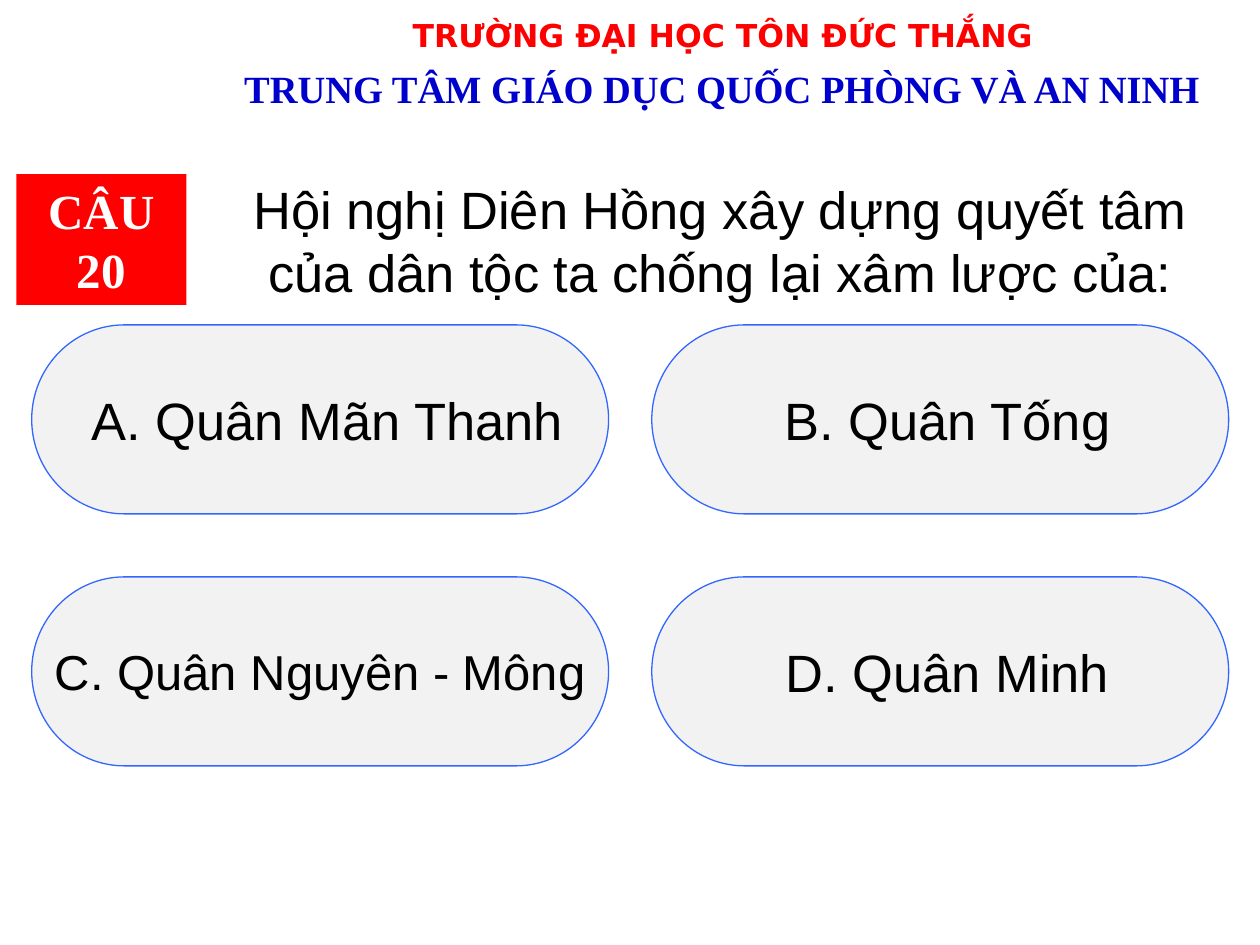
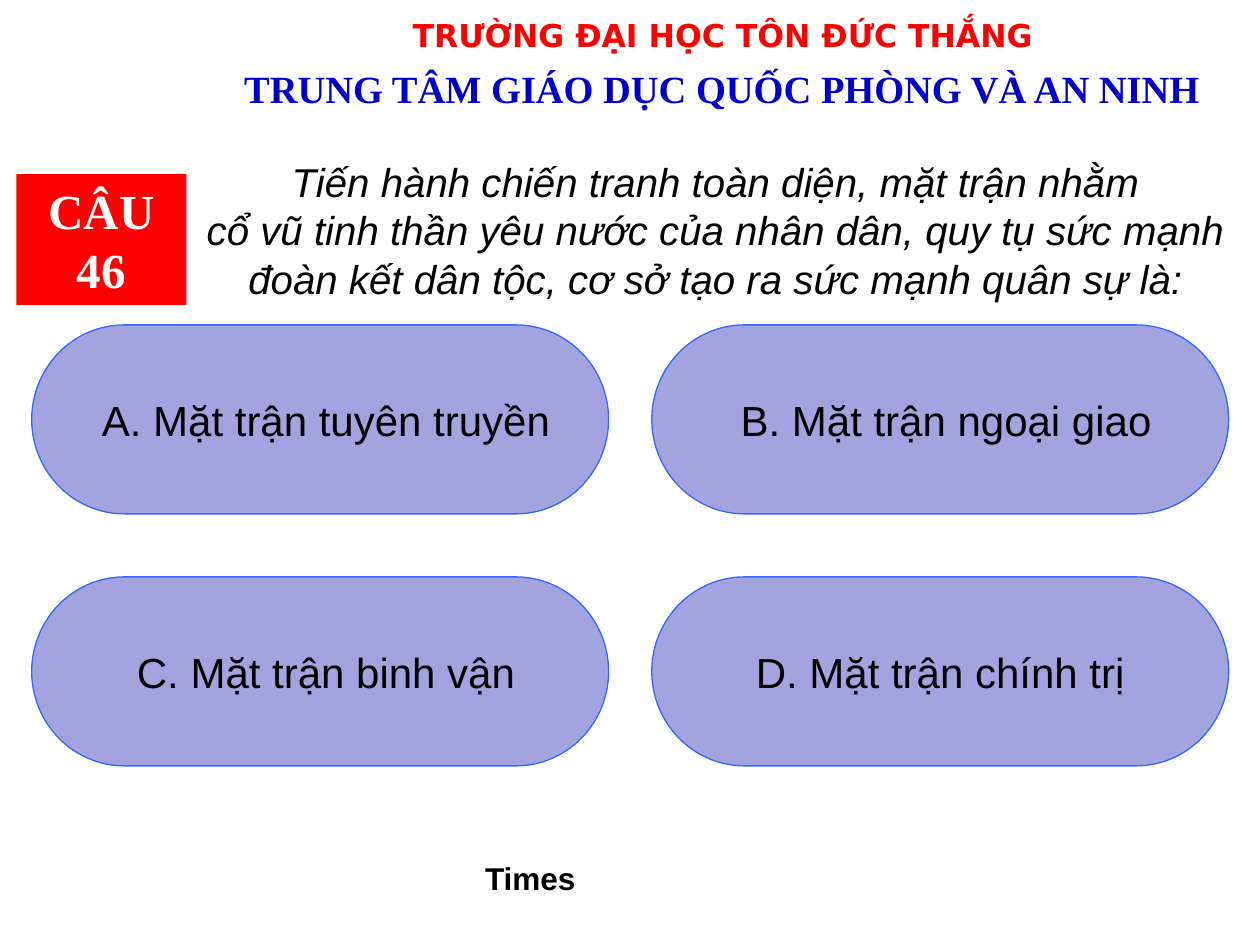
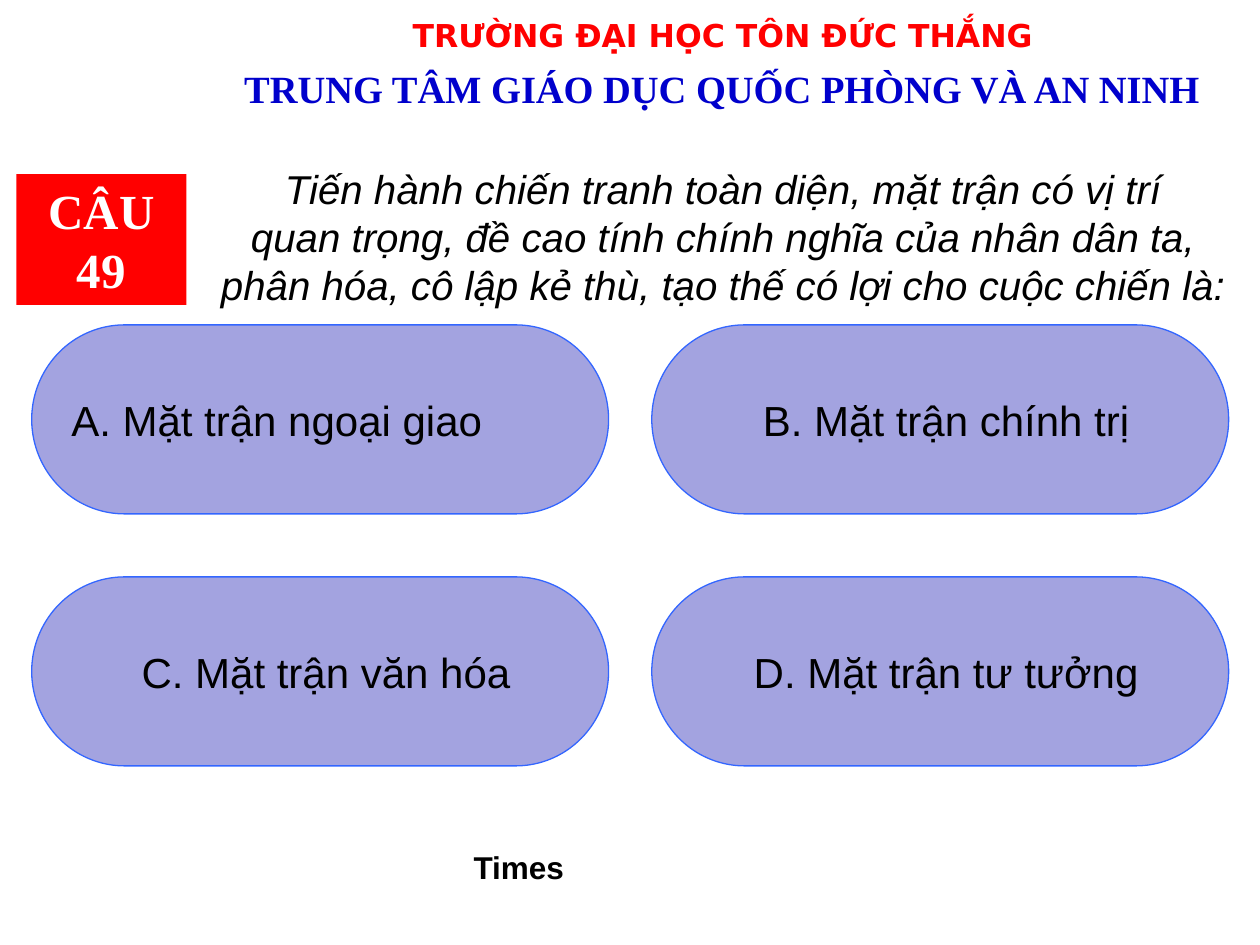
import dataclasses

import pptx
import pptx.dml.color
import pptx.enum.shapes
import pptx.enum.text
import pptx.shapes.autoshape
import pptx.slide
import pptx.text.text
import pptx.util

Cm = pptx.util.Cm
Pt = pptx.util.Pt
ALIGN = pptx.enum.text.PP_ALIGN
ANCHOR = pptx.enum.text.MSO_ANCHOR
FIT_SHAPE = pptx.enum.text.MSO_AUTO_SIZE.SHAPE_TO_FIT_TEXT
SHAPE = pptx.enum.shapes.MSO_SHAPE

RED, BLUE, BLACK, WHITE = "FF0000", "0000CC", "000000", "FFFFFF"
ANSWER_LINE, GREY, LAVENDER = "3366FF", "F2F2F2", "A3A3E0"

UNIVERSITY_FORMAT = {"name": "DejaVu Sans", "size": Pt(18), "bold": True}
CENTRE_FORMAT = {"name": "Times New Roman", "size": Pt(22), "bold": True}
BADGE_FORMAT = {"name": "Times New Roman", "size": Pt(28), "bold": True}
TIMES_FORMAT = {"name": "Arial", "size": Pt(18), "bold": True}

WRAPPED_FRAME = {"word_wrap": True, "auto_size": FIT_SHAPE}
SINGLE_LINE_FRAME = {"word_wrap": False}

ANSWER_LEFT, ANSWER_TOP = 0.64, 6.55
ANSWER_WIDTH, ANSWER_HEIGHT = 11.63, 3.81
COLUMN_PITCH, ROW_PITCH = 12.5, 5.08
SIDE_MARGIN = Cm(0.25)
SPACE_WIDTH = 0.28  # share of the font size


@dataclasses.dataclass(frozen=True)
class Box:
    """A rectangle in centimetres."""
    left: float
    top: float
    width: float
    height: float

    def lengths(self) -> list[pptx.util.Length]:
        return [Cm(value) for value in dataclasses.astuple(self)]


@dataclasses.dataclass(frozen=True)
class Answer:
    text: str
    size: int = 24
    nudged: bool = True
    alignment: ALIGN = ALIGN.CENTER


@dataclasses.dataclass(frozen=True)
class Question:
    number: int
    lines: list[str]
    box: Box
    font_format: dict
    answer_fill: str
    answers: list[Answer]
    times_box: Box | None = None


LONG_QUESTION_FORMAT = {"name": "Arial", "size": Pt(23), "italic": True}

QUESTIONS = [
    Question(
        20,
        ["Hội nghị Diên Hồng xây dựng quyết tâm của dân tộc ta chống lại xâm lược của:"],
        Box(3.94, 3.45, 21.16, 2.79),
        {"name": "Arial", "size": Pt(30)},
        GREY,
        [
            Answer("A. Quân Mãn Thanh", 30),
            Answer("B. Quân Tống", 30),
            Answer("C. Quân Nguyên - Mông", 28, nudged=False),
            Answer("D. Quân Minh", 30),
        ],
    ),
    Question(
        46,
        [
            "Tiến hành chiến tranh toàn diện, mặt trận nhằm",
            "cổ vũ tinh thần yêu nước của nhân dân, quy tụ sức mạnh",
            "đoàn kết dân tộc, cơ sở tạo ra sức mạnh quân sự là:",
        ],
        Box(3.81, 3.05, 21.26, 3.18),
        LONG_QUESTION_FORMAT,
        LAVENDER,
        [
            Answer("A. Mặt trận tuyên truyền"),
            Answer("B. Mặt trận ngoại giao"),
            Answer("C. Mặt trận binh vận"),
            Answer("D. Mặt trận chính trị", nudged=False),
        ],
        Box(9.32, 17.2, 2.74, 1.02),
    ),
    Question(
        49,
        [
            "Tiến hành chiến tranh toàn diện, mặt trận có vị trí",
            "quan trọng, đề cao tính chính nghĩa của nhân dân ta,",
            "phân hóa, cô lập kẻ thù, tạo thế có lợi cho cuộc chiến là:",
        ],
        Box(4.09, 3.18, 21.01, 3.18),
        LONG_QUESTION_FORMAT,
        LAVENDER,
        [
            Answer("A. Mặt trận ngoại giao", nudged=False, alignment=ALIGN.LEFT),
            Answer("B. Mặt trận chính trị"),
            Answer("C. Mặt trận văn hóa"),
            Answer("D. Mặt trận tư tưởng"),
        ],
        Box(9.09, 16.97, 2.74, 1.02),
    ),
]


def color(value: str) -> pptx.dml.color.RGBColor:
    return pptx.dml.color.RGBColor.from_string(value)


def apply_format(target: object, values: dict) -> None:
    for name, value in values.items():
        setattr(target, name, value)


def write_lines(
    frame: pptx.text.text.TextFrame,
    lines: list[str],
    font_format: dict,
    font_color: str,
    frame_format: dict,
    alignment: ALIGN = ALIGN.CENTER,
) -> None:
    apply_format(frame, frame_format)
    frame.text = "\n".join(lines)
    for paragraph in frame.paragraphs:
        paragraph.alignment = alignment
        font = paragraph.runs[0].font
        apply_format(font, font_format)
        font.color.rgb = color(font_color)


def add_text(
    slide: pptx.slide.Slide,
    box: Box,
    lines: list[str],
    font_format: dict,
    font_color: str = BLACK,
    frame_format: dict = WRAPPED_FRAME,
) -> None:
    shape = slide.shapes.add_textbox(*box.lengths())
    write_lines(shape.text_frame, lines, font_format, font_color, frame_format)


def add_filled_shape(
    slide: pptx.slide.Slide, kind: SHAPE, box: Box, fill: str
) -> pptx.shapes.autoshape.Shape:
    shape = slide.shapes.add_shape(kind, *box.lengths())
    shape.shadow.inherit = False
    shape.fill.solid()
    shape.fill.fore_color.rgb = color(fill)
    return shape


def add_header(slide: pptx.slide.Slide) -> None:
    add_text(slide, Box(5.16, 0.2, 18.82, 0.86), ["TRƯỜNG ĐẠI HỌC TÔN ĐỨC THẮNG"],
             UNIVERSITY_FORMAT, RED, SINGLE_LINE_FRAME)
    add_text(slide, Box(4.39, 1.19, 20.32, 0.81), ["TRUNG TÂM GIÁO DỤC QUỐC PHÒNG VÀ AN NINH"],
             CENTRE_FORMAT, BLUE, SINGLE_LINE_FRAME)


def add_badge(slide: pptx.slide.Slide, number: int) -> None:
    badge = add_filled_shape(slide, SHAPE.RECTANGLE, Box(0.33, 3.51, 3.43, 2.64), RED)
    badge.line.fill.background()
    frame_format = WRAPPED_FRAME | {"vertical_anchor": ANCHOR.TOP}
    write_lines(badge.text_frame, [f"CÂU {number}"], BADGE_FORMAT, WHITE, frame_format)


def add_answer(slide: pptx.slide.Slide, position: int, answer: Answer, fill: str) -> None:
    """Place an answer in the two-column grid; a nudged one sits half a space to the right."""
    row, column = divmod(position, 2)
    box = Box(ANSWER_LEFT + column * COLUMN_PITCH, ANSWER_TOP + row * ROW_PITCH,
              ANSWER_WIDTH, ANSWER_HEIGHT)
    shape = add_filled_shape(slide, SHAPE.FLOWCHART_TERMINATOR, box, fill)
    shape.line.color.rgb = color(ANSWER_LINE)
    shape.line.width = Pt(0.75)
    nudge = Pt(answer.size * SPACE_WIDTH) if answer.nudged else 0
    frame_format = SINGLE_LINE_FRAME | {
        "vertical_anchor": ANCHOR.MIDDLE,
        "margin_left": SIDE_MARGIN + nudge,
        "margin_right": SIDE_MARGIN,
    }
    font_format = {"name": "Arial", "size": Pt(answer.size)}
    write_lines(shape.text_frame, [answer.text], font_format, BLACK, frame_format,
                answer.alignment)


def add_question_slide(presentation: pptx.presentation.Presentation, question: Question) -> None:
    slide = presentation.slides.add_slide(presentation.slide_layouts[6])
    add_header(slide)
    add_text(slide, question.box, question.lines, question.font_format)
    for position, answer in enumerate(question.answers):
        add_answer(slide, position, answer, question.answer_fill)
    add_badge(slide, question.number)
    if question.times_box:
        add_text(slide, question.times_box, ["Times"], TIMES_FORMAT)


def main() -> None:
    presentation = pptx.Presentation()
    presentation.slide_width = Cm(25.4)
    presentation.slide_height = Cm(19.05)
    for question in QUESTIONS:
        add_question_slide(presentation, question)
    presentation.save("out.pptx")


if __name__ == "__main__":
    main()
